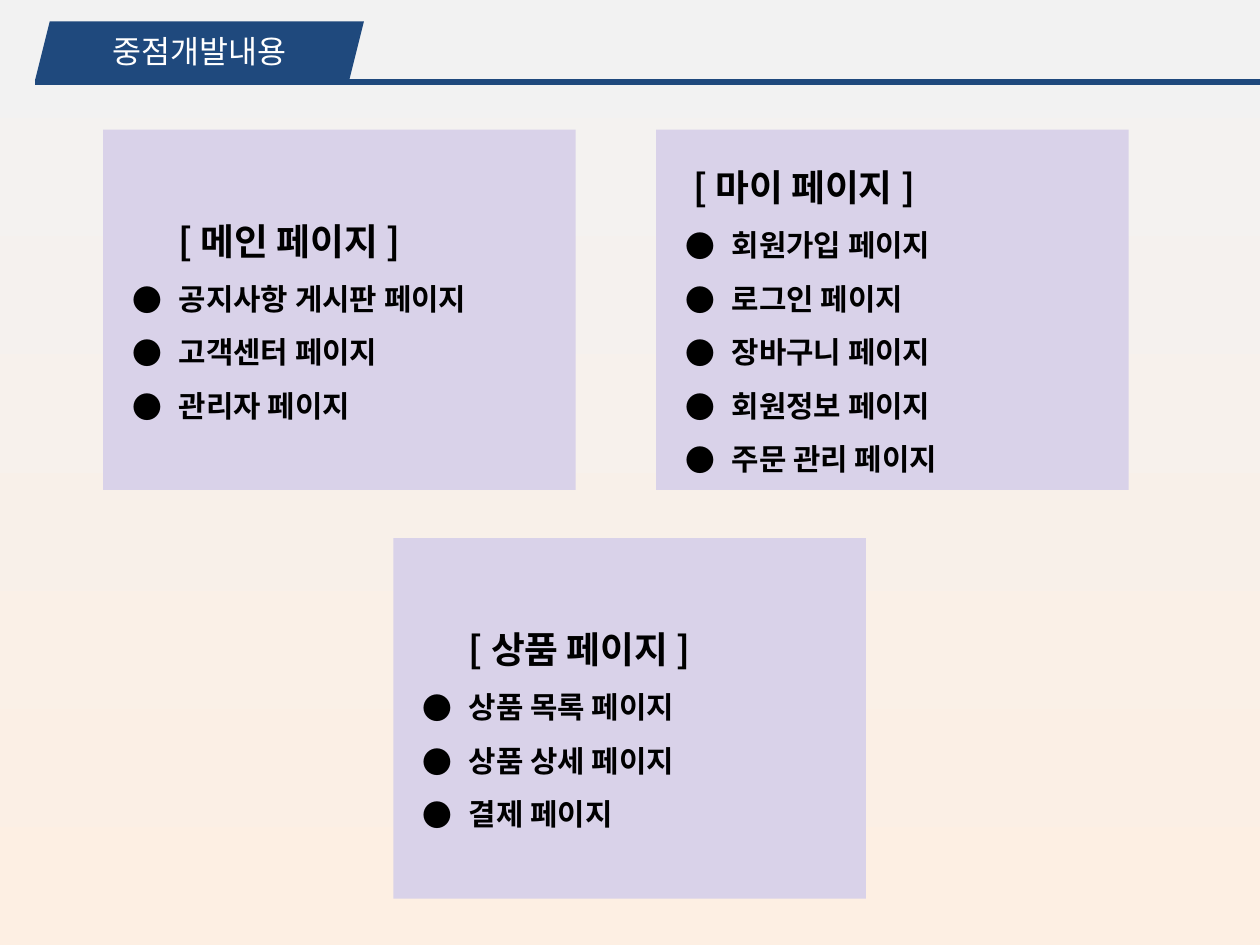
import pptx
import pptx.util
import pptx.dml.color
import pptx.enum.shapes
import pptx.enum.text
import pptx.oxml
import pptx.oxml.ns

Pt = pptx.util.Pt
SHAPES = pptx.enum.shapes.MSO_SHAPE
ALIGN = pptx.enum.text.PP_ALIGN

TITLE = "중점개발내용"
CARDS = [
    {"at": (59, 74), "heading": "[ 메인 페이지 ]", "indent": 36,
     "pages": ["공지사항 게시판 페이지", "고객센터 페이지", "관리자 페이지"]},
    {"at": (375, 74), "heading": "[ 마이 페이지 ]", "indent": 14,
     "pages": ["회원가입 페이지", "로그인 페이지", "장바구니 페이지",
               "회원정보 페이지", "주문 관리 페이지"]},
    {"at": (224.8, 307.5), "heading": "[ 상품 페이지 ]", "indent": 36,
     "pages": ["상품 목록 페이지", "상품 상세 페이지", "결제 페이지"]},
]

THEME = {
    "background": ("F2F2F2", "FDEFE3"),
    "navy": "1F497D", "lilac": "D9D2E9", "white": "FFFFFF", "black": "000000",
    "title_font": "Arial", "card_font": "Noto Sans CJK KR",
    "title": 18, "heading": 21, "item": 17,
}
SLIDE_SIZE = (720, 540)
CARD_SIZE = (270, 206)
TAB = (20, 12.2, 188, 33.8)
TITLE_BOX = (24.5, 9.4, 178.5, 39.6)
RULE_Y = 46.8
BULLET = {"margin": 36, "hanging": -26.6}


def rgb(name):
    """Return the theme colour with this name."""
    return pptx.dml.color.RGBColor.from_string(THEME[name])


def apply(target, values):
    """Set every attribute in a dict of format values."""
    for name, value in values.items():
        setattr(target, name, value)


def add_block(slide, kind, box, color):
    """Add a flat filled shape without an outline."""
    shape = slide.shapes.add_shape(kind, *map(Pt, box))
    shape.shadow.inherit = False
    shape.fill.solid()
    shape.fill.fore_color.rgb = rgb(color)
    shape.line.fill.background()
    return shape


def write(paragraph, text, size, color, font, bold=False):
    """Write one run with its Latin and East Asian typeface."""
    run = paragraph.add_run()
    run.text = text
    apply(run.font, {"size": Pt(THEME[size]), "bold": bold, "name": THEME[font]})
    run.font.color.rgb = rgb(color)
    properties = run.font._element
    east_asian = properties.makeelement(pptx.oxml.ns.qn("a:ea"), {"typeface": THEME[font]})
    properties.find(pptx.oxml.ns.qn("a:latin")).addnext(east_asian)


def indent(paragraph, margin, first, bullet=None):
    """Set the indents of a paragraph and its optional bullet."""
    properties = paragraph._p.get_or_add_pPr()
    properties.set("marL", str(Pt(margin)))
    properties.set("indent", str(Pt(first)))
    if bullet:
        namespace = pptx.oxml.ns.nsdecls("a")
        for markup in (
            f'<a:buClr {namespace}><a:srgbClr val="{THEME["black"]}"/></a:buClr>',
            f'<a:buFont {namespace} typeface="{THEME["card_font"]}"/>',
            f'<a:buChar {namespace} char="{bullet}"/>',
        ):
            properties.append(pptx.oxml.parse_xml(markup))


def add_header(slide):
    """Draw the title tab and the rule beneath it."""
    rule = slide.shapes.add_connector(
        pptx.enum.shapes.MSO_CONNECTOR.STRAIGHT,
        Pt(SLIDE_SIZE[0]), Pt(RULE_Y), Pt(TAB[0]), Pt(RULE_Y))
    rule.line.width = Pt(3)
    rule.line.color.rgb = rgb("navy")
    properties = rule._element.spPr
    properties.append(properties.makeelement(pptx.oxml.ns.qn("a:effectLst"), {}))
    add_block(slide, SHAPES.PARALLELOGRAM, TAB, "navy").adjustments[0] = 0.25
    frame = slide.shapes.add_textbox(*map(Pt, TITLE_BOX)).text_frame
    apply(frame, {"word_wrap": True, "vertical_anchor": pptx.enum.text.MSO_ANCHOR.MIDDLE})
    paragraph = frame.paragraphs[0]
    paragraph.alignment = ALIGN.CENTER
    write(paragraph, TITLE, "title", "white", "title_font")


def add_card(slide, card):
    """Draw a card with a heading and its bulleted pages."""
    frame = add_block(slide, SHAPES.RECTANGLE, card["at"] + CARD_SIZE, "lilac").text_frame
    apply(frame, {"word_wrap": True, "vertical_anchor": pptx.enum.text.MSO_ANCHOR.MIDDLE})
    for index, text in enumerate([card["heading"]] + card["pages"]):
        paragraph = frame.add_paragraph() if index else frame.paragraphs[0]
        apply(paragraph, {"alignment": ALIGN.LEFT, "line_spacing": 1.5})
        if index:
            indent(paragraph, BULLET["margin"], BULLET["hanging"], "●")
        else:
            indent(paragraph, 0, card["indent"])
        write(paragraph, text, "item" if index else "heading", "black", "card_font", True)


def main():
    """Build the slide and save it."""
    presentation = pptx.Presentation()
    apply(presentation, dict(zip(("slide_width", "slide_height"), map(Pt, SLIDE_SIZE))))
    slide = presentation.slides.add_slide(presentation.slide_layouts[6])
    fill = slide.background.fill
    fill.gradient()
    fill.gradient_angle = 270
    for stop, color in zip(fill.gradient_stops, THEME["background"]):
        stop.color.rgb = pptx.dml.color.RGBColor.from_string(color)
    add_header(slide)
    for card in CARDS:
        add_card(slide, card)
    presentation.save("out.pptx")


if __name__ == "__main__":
    main()
